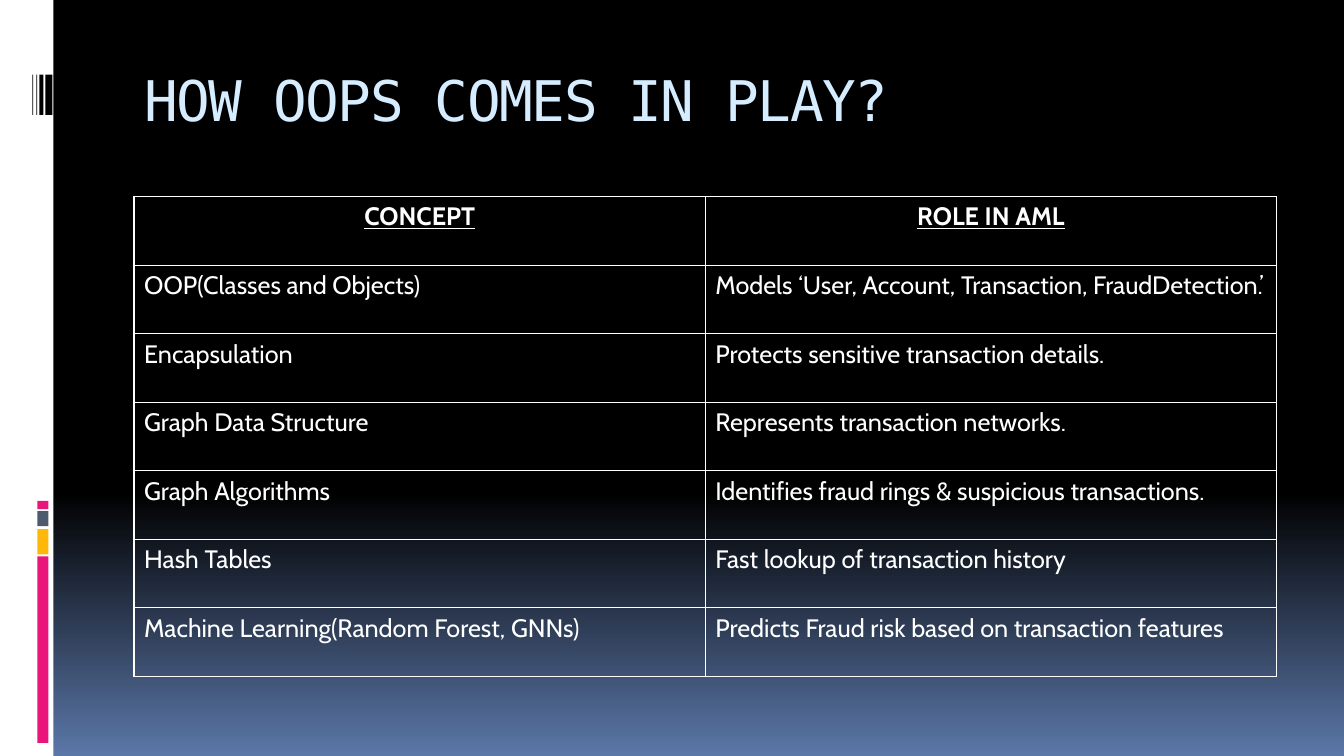
from dataclasses import dataclass

from lxml import etree
from pptx import Presentation
from pptx.dml.color import RGBColor
from pptx.enum.shapes import MSO_SHAPE
from pptx.enum.text import MSO_ANCHOR, MSO_AUTO_SIZE, PP_ALIGN
from pptx.oxml.ns import qn
from pptx.util import Pt

RECT = MSO_SHAPE.RECTANGLE
TOP = MSO_ANCHOR.TOP
LEFT, CENTER = PP_ALIGN.LEFT, PP_ALIGN.CENTER
PX = 9144


@dataclass(frozen=True)
class Theme:
    black: str = "000000"
    white: str = "FFFFFF"
    glow: str = "5B77A8"
    pink: str = "EA157A"
    amber: str = "FEB80A"
    slate: str = "4E5B6F"
    title: str = "D6ECFF"
    title_font: str = "DejaVu Sans Mono"
    body_font: str = "Cabin"
    title_size: int = 40
    body_size: int = 18


T = Theme()


def style(p, font, size, color, align):
    p.alignment = align
    p.font.name = font
    p.font.size = Pt(size)
    p.font.color.rgb = RGBColor.from_string(color)


def add_borders(cell):
    tcPr = cell._tc.get_or_add_tcPr()
    for i, side in enumerate(("lnL", "lnR", "lnT", "lnB")):
        ln = etree.Element(qn(f"a:{side}"), w=str(Pt(1)))
        fill = etree.SubElement(ln, qn("a:solidFill"))
        etree.SubElement(fill, qn("a:srgbClr"), val=T.white)
        tcPr.insert(i, ln)


prs = Presentation()
prs.slide_width = 1333 * PX
prs.slide_height = 750 * PX
s = prs.slides.add_slide(prs.slide_layouts[5])

bg = s.background.fill
bg.gradient()
bg.gradient_angle = 270
for stop, position, color in zip(bg.gradient_stops, (0.65, 1), (T.black, T.glow)):
    stop.position = position
    stop.color.rgb = RGBColor.from_string(color)

bars = [(0, 0, 53, 750, T.white)]
bars += [(37, y, 11, h, color) for y, h, color in (
    (552, 185, T.pink), (525, 25, T.amber), (507, 15, T.slate), (497, 8, T.pink))]
bars += [(x, 74, w, 40, T.black) for x, w in ((45, 7), (39, 4), (36, 1), (32, 1))]
for x, y, w, h, color in bars:
    sp = s.shapes.add_shape(RECT, x * PX, y * PX, w * PX, h * PX)
    sp.shadow.inherit = False
    sp.fill.solid()
    sp.fill.fore_color.rgb = RGBColor.from_string(color)
    sp.line.fill.background()

title = s.shapes.title
title.left, title.top, title.width, title.height = 133 * PX, 56 * PX, 1133 * PX, 100 * PX
tf = title.text_frame
tf.auto_size = MSO_AUTO_SIZE.NONE
tf.vertical_anchor = TOP
tf.margin_top = 9 * PX
p = tf.paragraphs[0]
r = p.add_run()
r.text = "HOW OOPS COMES IN PLAY?"
r._r.get_or_add_rPr().set("spc", "-100")
style(p, T.title_font, T.title_size, T.title, LEFT)

rows = [
    ("CONCEPT", "ROLE IN AML"),
    ("OOP(Classes and Objects)", "Models ‘User, Account, Transaction, FraudDetection.’"),
    ("Encapsulation", "Protects sensitive transaction details."),
    ("Graph Data Structure", "Represents transaction networks."),
    ("Graph Algorithms", "Identifies fraud rings & suspicious transactions."),
    ("Hash Tables", "Fast lookup of transaction history"),
    ("Machine Learning(Random Forest, GNNs)", "Predicts Fraud risk based on transaction features"),
]
table = s.shapes.add_table(len(rows), 2, 133 * PX, 195 * PX, 1133 * PX, 476 * PX).table
table.first_row = False
table.horz_banding = False
for i, row in enumerate(rows):
    header = i == 0
    for j, text in enumerate(row):
        cell = table.cell(i, j)
        cell.fill.background()
        add_borders(cell)
        cell.text = text
        p = cell.text_frame.paragraphs[0]
        style(p, T.body_font, T.body_size, T.white, CENTER if header else LEFT)
        p.font.bold = header
        p.font.underline = header

prs.save("out.pptx")
